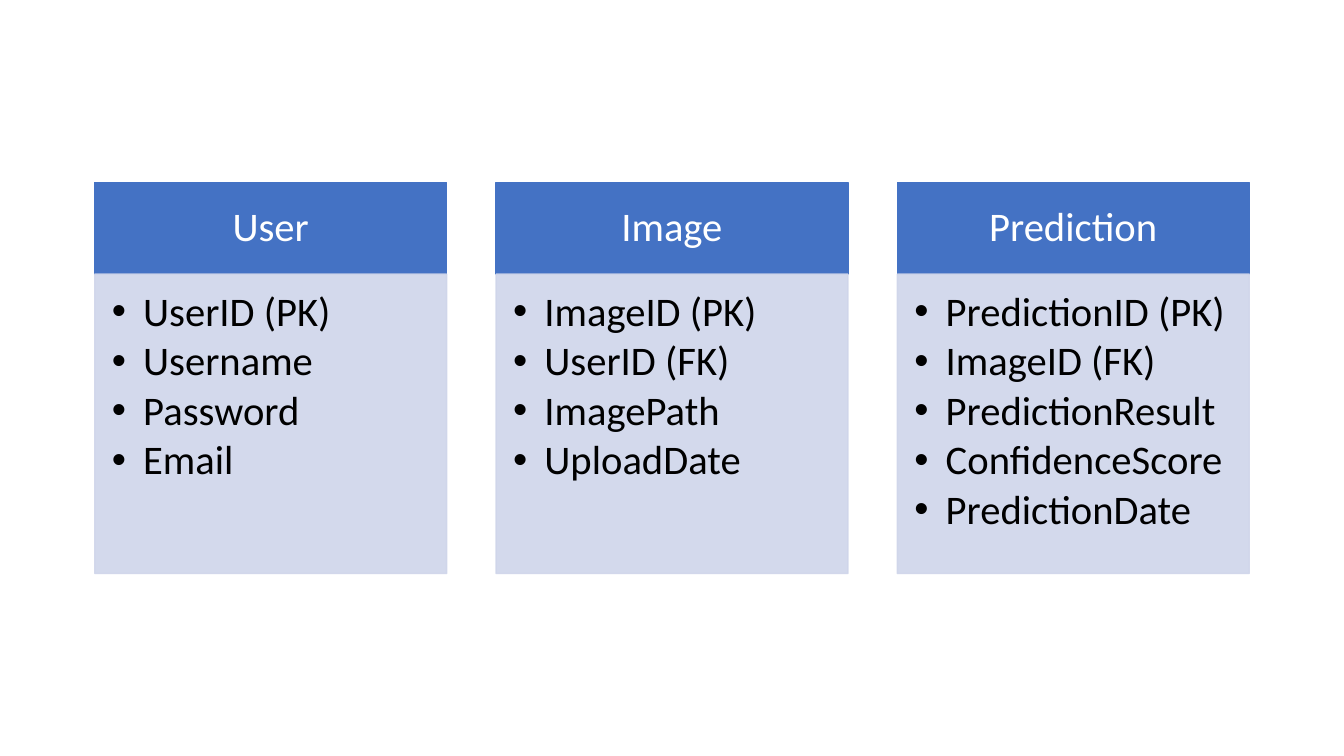
from dataclasses import dataclass

from lxml import etree
from pptx import Presentation
from pptx.enum import shapes, text
from pptx.dml.color import RGBColor
from pptx.oxml import ns
from pptx.util import Inches, Pt

COLORS = {"header": "4472C4", "body": "CFD5EA", "title": "FFFFFF", "field": "000000"}
FONT, SIZE = "Calibri", 29
LEFT, TOP, WIDTH, PITCH = 0.94, 1.81, 3.49, 3.98
HEADER_H, BODY_H = 0.91, 2.97
INDENT = 0.31


@dataclass
class Entity:
    name: str
    fields: list[str]


ENTITIES = [
    Entity("User", ["UserID (PK)", "Username", "Password", "Email"]),
    Entity("Image", ["ImageID (PK)", "UserID (FK)", "ImagePath", "UploadDate"]),
    Entity("Prediction", ["PredictionID (PK)", "ImageID (FK)", "PredictionResult",
                          "ConfidenceScore", "PredictionDate"]),
]


def add_box(slide, left: float, top: float, height: float, color: str,
            insets: tuple[float, float, float, float], anchor, opacity: int = 100):
    """Add a filled rectangle and return its empty text frame."""
    sp = slide.shapes.add_shape(shapes.MSO_SHAPE.RECTANGLE, Inches(left), Inches(top),
                                Inches(WIDTH), Inches(height))
    sp.shadow.inherit = False
    sp.fill.solid()
    sp.line.width = Pt(1)
    for fill in (sp.fill, sp.line.fill):
        fill.solid()
        fill.fore_color.rgb = RGBColor.from_string(COLORS[color])
    if opacity < 100:
        for clr in sp.element.spPr.iter(ns.qn("a:srgbClr")):
            etree.SubElement(clr, ns.qn("a:alpha"), val=str(opacity * 1000))
    tf = sp.text_frame
    tf.word_wrap = True
    tf.vertical_anchor = anchor
    tf.margin_left, tf.margin_top, tf.margin_right, tf.margin_bottom = map(Inches, insets)
    return tf


def add_text(p, content: str, color: str, align, space_after: float) -> None:
    p.alignment = align
    p.line_spacing = 0.9
    p.space_after = Pt(space_after)
    r = p.add_run()
    r.text = content
    r.font.name = FONT
    r.font.size = Pt(SIZE)
    r.font.color.rgb = RGBColor.from_string(COLORS[color])


def add_bullet(p) -> None:
    p.level = 1
    pPr = p._p.get_or_add_pPr()
    pPr.set("marL", str(Inches(INDENT)))
    pPr.set("indent", str(-Inches(INDENT)))
    etree.SubElement(pPr, ns.qn("a:buFont"), typeface="Arial")
    etree.SubElement(pPr, ns.qn("a:buChar"), char="•")


def add_entity(slide, entity: Entity, left: float) -> None:
    # Header with the entity name
    tf = add_box(slide, left, TOP, HEADER_H, "header", (0.23, 0.13, 0.23, 0.13),
                 text.MSO_ANCHOR.MIDDLE)
    add_text(tf.paragraphs[0], entity.name, "title", text.PP_ALIGN.CENTER, 0)

    # Body with the bulleted fields
    tf = add_box(slide, left, TOP + HEADER_H, BODY_H, "body", (0.17, 0.17, 0.17, 0.25),
                 text.MSO_ANCHOR.TOP, opacity=90)
    for i, field in enumerate(entity.fields):
        p = tf.add_paragraph() if i else tf.paragraphs[0]
        add_text(p, field, "field", text.PP_ALIGN.LEFT, 4)
        add_bullet(p)


def main() -> None:
    prs = Presentation()
    prs.slide_width, prs.slide_height = Inches(13.33), Inches(7.5)
    slide = prs.slides.add_slide(prs.slide_layouts[6])
    for i, entity in enumerate(ENTITIES):
        add_entity(slide, entity, LEFT + i * PITCH)
    prs.save("out.pptx")


if __name__ == "__main__":
    main()
